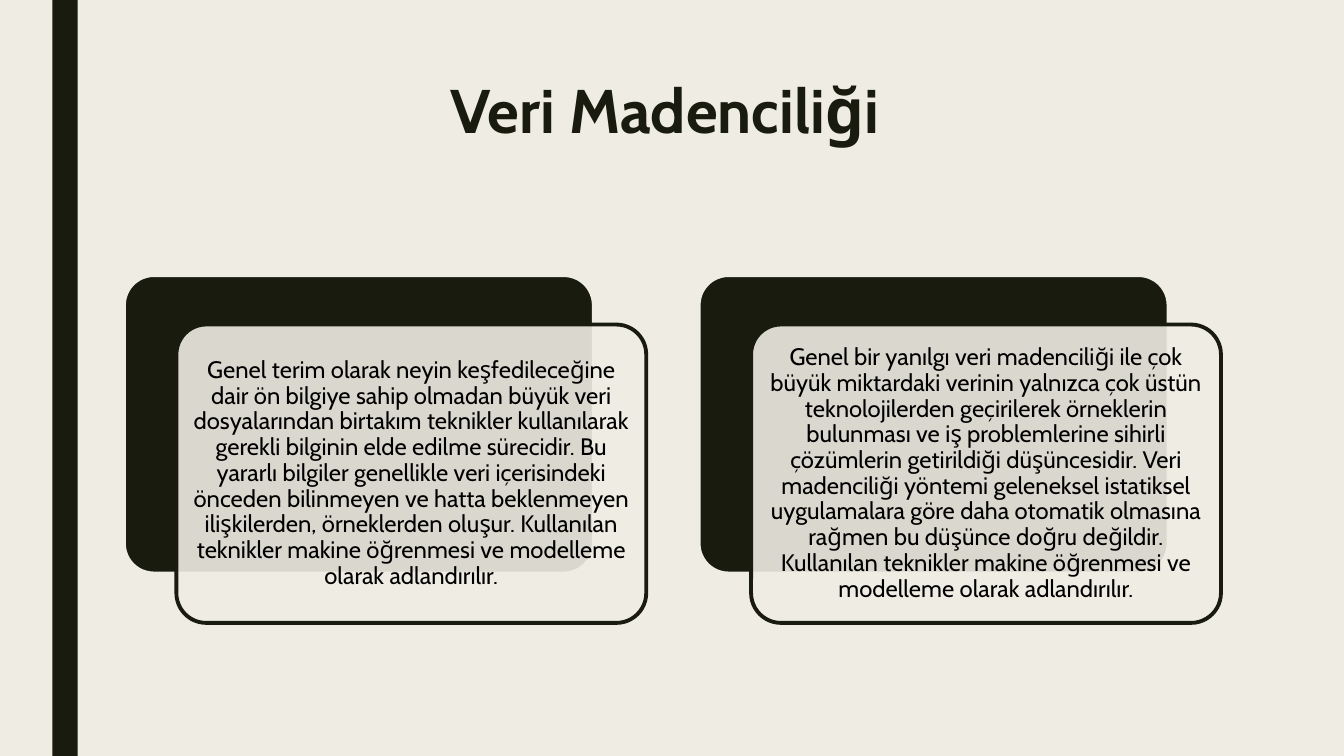
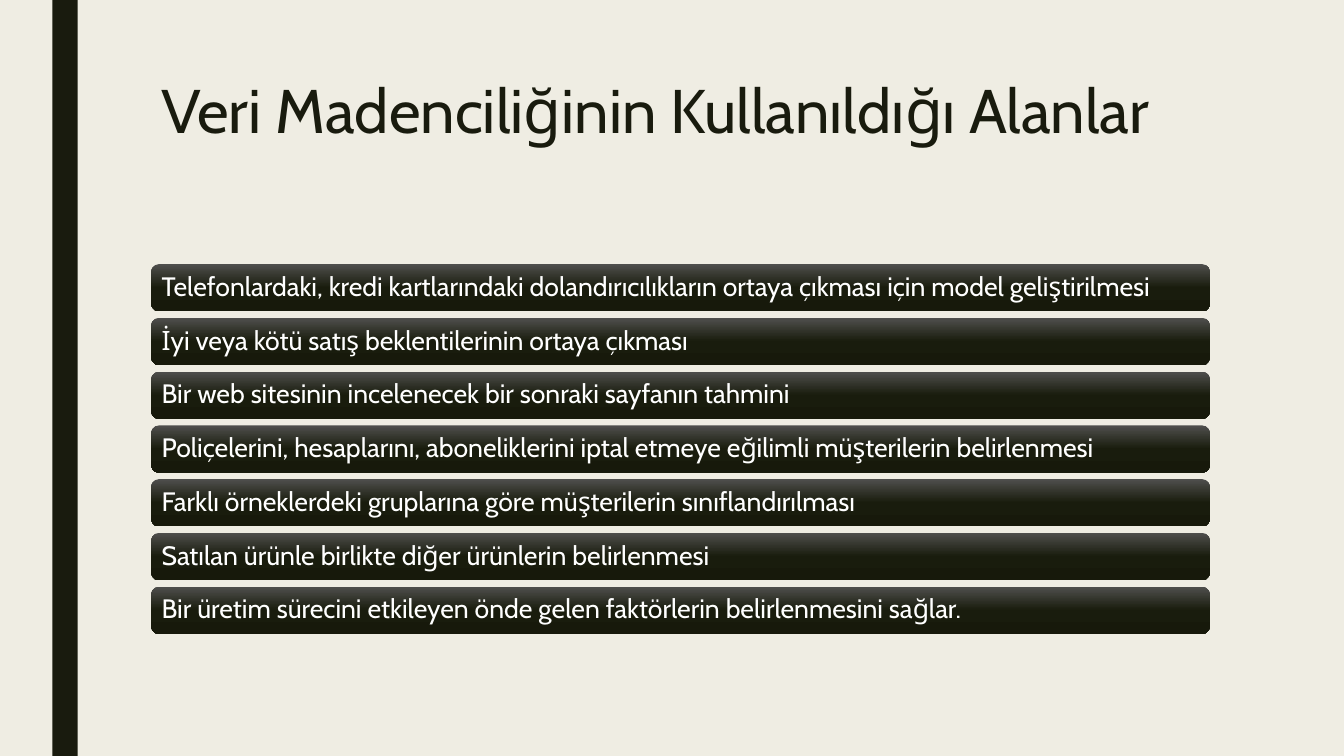
from copy import deepcopy

from pptx import Presentation
from pptx.dml.color import RGBColor
from pptx.enum.shapes import MSO_SHAPE as Preset
from pptx.enum.text import MSO_ANCHOR as Anchor, MSO_AUTO_SIZE as AutoSize, PP_ALIGN as Align
from pptx.oxml.ns import qn
from pptx.oxml.xmlchemy import OxmlElement
from pptx.util import Inches, Pt

FONT = "Cabin"
DARK = "191B0E"
CREAM = "EFEDE3"
BLACK = "000000"
WHITE = "FFFFFF"
BAR_GRADIENT = [(0, "4F4F4D"), (0.5, "191C0D"), (1, "17190B")]

CARD_LEFT, CARD_TOP = 1.23, 2.73
CARD_WIDTH, CARD_HEIGHT = 4.66, 2.96
CARD_PITCH = 5.7
CARD_SHIFT_X, CARD_SHIFT_Y = 0.52, 0.49

BAR_LEFT, BAR_WIDTH, BAR_HEIGHT = 1.5, 10.5, 0.47
BAR_FIRST_TOP, BAR_LAST_TOP = 2.62, 5.82

DEFINITIONS = [
    "Genel terim olarak neyin keşfedileceğine dair ön bilgiye sahip olmadan büyük veri "
    "dosyalarından birtakım teknikler kullanılarak gerekli bilginin elde edilme sürecidir. "
    "Bu yararlı bilgiler genellikle veri içerisindeki önceden bilinmeyen ve hatta "
    "beklenmeyen ilişkilerden, örneklerden oluşur. Kullanılan teknikler makine öğrenmesi "
    "ve modelleme olarak adlandırılır.",
    "Genel bir yanılgı veri madenciliği ile çok büyük miktardaki verinin yalnızca çok üstün "
    "teknolojilerden geçirilerek örneklerin bulunması ve iş problemlerine sihirli çözümlerin "
    "getirildiği düşüncesidir. Veri madenciliği yöntemi geleneksel istatiksel uygulamalara "
    "göre daha otomatik olmasına rağmen bu düşünce doğru değildir. Kullanılan teknikler "
    "makine öğrenmesi ve modelleme olarak adlandırılır.",
]

USAGE_AREAS = [
    "Telefonlardaki, kredi kartlarındaki dolandırıcılıkların ortaya çıkması için model geliştirilmesi",
    "İyi veya kötü satış beklentilerinin ortaya çıkması",
    "Bir web sitesinin incelenecek bir sonraki sayfanın tahmini",
    "Poliçelerini, hesaplarını, aboneliklerini iptal etmeye eğilimli müşterilerin belirlenmesi",
    "Farklı örneklerdeki gruplarına göre müşterilerin sınıflandırılması",
    "Satılan ürünle birlikte diğer ürünlerin belirlenmesi",
    "Bir üretim sürecini etkileyen önde gelen faktörlerin belirlenmesini sağlar.",
]


def rgb(value):
    return RGBColor.from_string(value)


def write_text(shape, text, size, color, align, anchor, inset=None, bold=False, spacing=0.9):
    frame = shape.text_frame
    frame.word_wrap = True
    frame.auto_size = AutoSize.NONE
    frame.vertical_anchor = anchor
    if inset is not None:
        frame.margin_left = frame.margin_right = Inches(inset)
        frame.margin_top = frame.margin_bottom = Inches(inset)
    paragraph = frame.paragraphs[0]
    paragraph.alignment = align
    paragraph.line_spacing = spacing
    run = paragraph.add_run()
    run.text = text
    run.font.name = FONT
    run.font.size = Pt(size)
    run.font.bold = bold
    run.font.color.rgb = rgb(color)


def add_box(slide, preset, left, top, width, height, fill=None, line=None):
    shape = slide.shapes.add_shape(
        preset, Inches(left), Inches(top), Inches(width), Inches(height))
    shape.shadow.inherit = False
    if fill:
        shape.fill.solid()
        shape.fill.fore_color.rgb = rgb(fill)
    if line:
        shape.line.color.rgb = rgb(line)
        shape.line.width = Pt(2.75)
    else:
        shape.line.fill.background()
    return shape


def set_opacity(shape, percent):
    alpha = OxmlElement("a:alpha")
    alpha.set("val", str(percent * 1000))
    shape.fill._xPr.find(qn("a:solidFill"))[0].append(alpha)


def set_gradient(shape, colors):
    shape.fill.gradient()
    shape.fill.gradient_angle = 270
    stop_list = next(shape._element.iter(qn("a:gsLst")))
    while len(stop_list) < len(colors):
        stop_list.append(deepcopy(stop_list[0]))
    for stop, (position, color) in zip(shape.fill.gradient_stops, colors):
        stop.position = position
        stop.color.rgb = rgb(color)


def add_titled_slide(presentation, title, left, width, align, bold=False):
    slide = presentation.slides.add_slide(presentation.slide_layouts.get_by_name("Title Only"))
    add_box(slide, Preset.RECTANGLE, 0.52, 0, 0.25, 7.5, DARK)
    placeholder = slide.shapes.title
    placeholder.left, placeholder.top = Inches(left), Inches(0.75)
    placeholder.width, placeholder.height = Inches(width), Inches(1.62)
    write_text(placeholder, title, 44, DARK, align, Anchor.TOP, bold=bold, spacing=0.89)
    return slide


def add_card(slide, left, text):
    size = (CARD_WIDTH, CARD_HEIGHT)
    back = add_box(slide, Preset.ROUNDED_RECTANGLE, left, CARD_TOP, *size, DARK, CREAM)
    front = add_box(slide, Preset.ROUNDED_RECTANGLE, left + CARD_SHIFT_X,
                    CARD_TOP + CARD_SHIFT_Y, *size, CREAM, DARK)
    for shape in (back, front):
        shape.adjustments[0] = 0.1
    set_opacity(front, 90)
    write_text(front, text, 17, BLACK, Align.CENTER, Anchor.MIDDLE, 0.07)


def add_bar(slide, top, text):
    bar = add_box(slide, Preset.ROUNDED_RECTANGLE, BAR_LEFT, top, BAR_WIDTH, BAR_HEIGHT)
    set_gradient(bar, BAR_GRADIENT)
    write_text(bar, text, 19, WHITE, Align.LEFT, Anchor.MIDDLE, 0.08)


def build_definition_slide(presentation):
    slide = add_titled_slide(presentation, "Veri Madenciliği", 0.63, 11.93, Align.CENTER, True)
    for index, text in enumerate(DEFINITIONS):
        add_card(slide, CARD_LEFT + index * CARD_PITCH, text)


def build_usage_slide(presentation):
    slide = add_titled_slide(presentation, "Veri Madenciliğinin Kullanıldığı Alanlar",
                             BAR_LEFT, BAR_WIDTH, Align.LEFT)
    pitch = (BAR_LAST_TOP - BAR_FIRST_TOP) / (len(USAGE_AREAS) - 1)
    for index, text in enumerate(USAGE_AREAS):
        add_bar(slide, BAR_FIRST_TOP + index * pitch, text)


def main():
    presentation = Presentation()
    presentation.slide_width = Inches(13.33)
    presentation.slide_height = Inches(7.5)
    background = presentation.slide_master.background.fill
    background.solid()
    background.fore_color.rgb = rgb(CREAM)
    build_definition_slide(presentation)
    build_usage_slide(presentation)
    presentation.save("out.pptx")


main()
